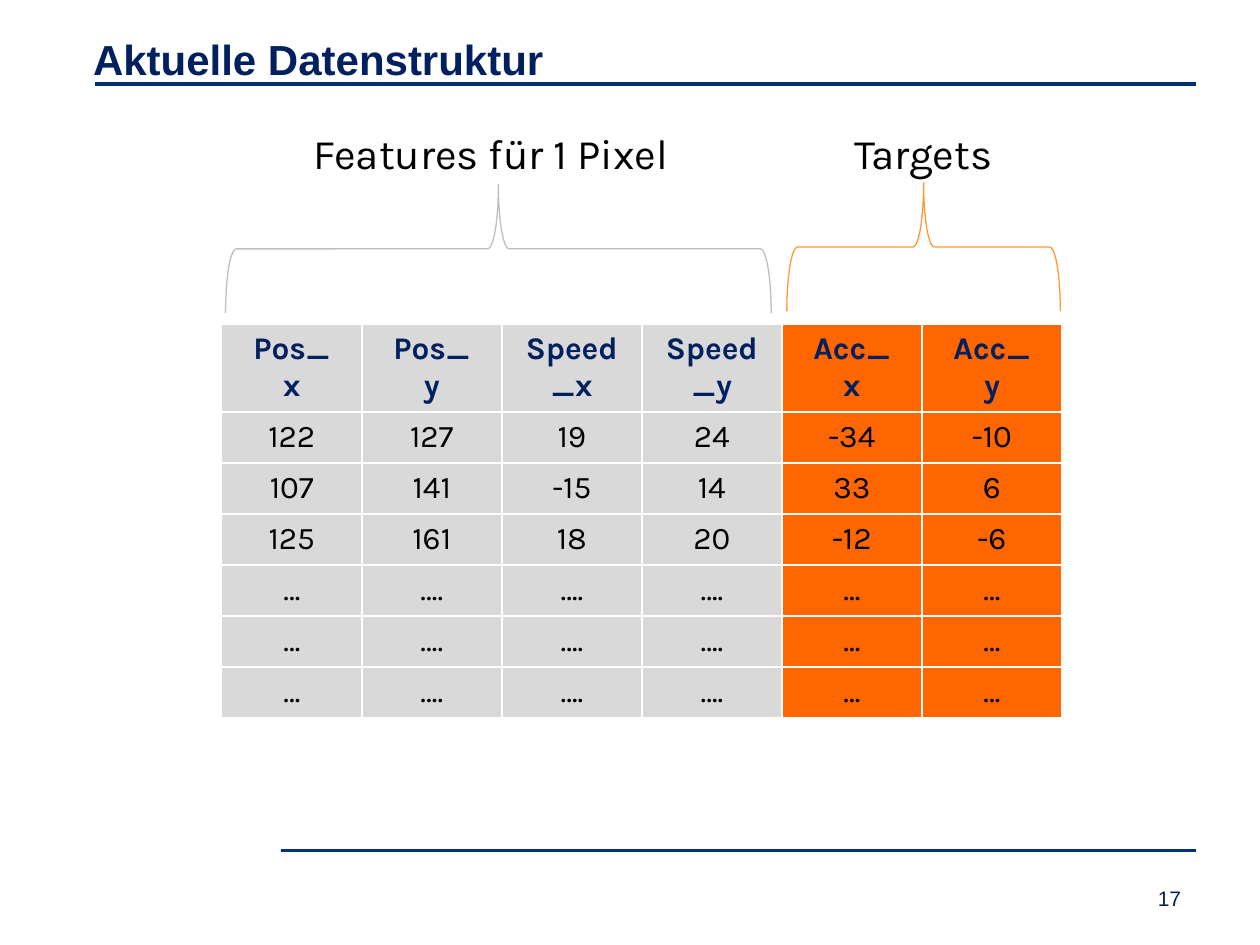
"""Slide showing the current data structure: feature and target columns of a table."""
from pptx import Presentation
from pptx.dml.color import RGBColor
from pptx.enum.shapes import MSO_CONNECTOR, MSO_SHAPE
from pptx.enum.text import PP_ALIGN
from pptx.oxml.ns import qn
from pptx.util import Inches, Pt

LINE, BRACE, CENTER = MSO_CONNECTOR.STRAIGHT, MSO_SHAPE.LEFT_BRACE, PP_ALIGN.CENTER
NAVY, BLACK, GREY, ORANGE = "002060", "000000", "D9D9D9", "FF6600"
rgb = RGBColor.from_string

prs = Presentation()
prs.slide_width, prs.slide_height = Inches(10), Inches(7.5)
U = prs.slide_width // 100
s = prs.slides.add_slide(prs.slide_layouts[6])


def style(p, text, size, font, color, bold=False):
    p.text = text
    p.font.size, p.font.name, p.font.bold = Pt(size), font, bold
    p.font.color.rgb = rgb(color)


def box(x, y, w, h, text, size, font, color, bold=False, wrap=True):
    tf = s.shapes.add_textbox(int(x * U), int(y * U), int(w * U), int(h * U)).text_frame
    tf.word_wrap = wrap
    style(tf.paragraphs[0], text, size, font, color, bold)


for x, y in [(7.5, 6.7), (22.3, 67.5)]:
    c = s.shapes.add_connector(LINE, int(x * U), int(y * U), int(94.9 * U), int(y * U))
    c.line.color.rgb, c.line.width = rgb("003173"), Pt(2.25)
    c._element.spPr.append(c._element.makeelement(qn("a:effectLst"), {}))

box(6.4, 2.2, 90, 8.6, "Aktuelle Datenstruktur", 24, "Arial", NAVY, True)
box(90.9, 69.8, 7.1, 3, "17", 12, "Arial", NAVY)

rows = [
    ["Pos_\nx", "Pos_\ny", "Speed_x", "Speed_y", "Acc_\nx", "Acc_\ny"],
    ["122", "127", "19", "24", "-34", "-10"],
    ["107", "141", "-15", "14", "33", "6"],
    ["125", "161", "18", "20", "-12", "-6"],
] + [["…", "….", "….", "….", "…", "…"]] * 3
table = s.shapes.add_table(7, 6, int(17.6 * U), int(25.7 * U),
                           int(66.7 * U), int(31.3 * U)).table
for i, row in enumerate(rows):
    table.rows[i].height = int((4.05 if i else 6.8) * U)
    for j, value in enumerate(row):
        cell = table.cell(i, j)
        cell.fill.solid()
        cell.fill.fore_color.rgb = rgb(GREY if j < 4 else ORANGE)
        cell.text = value
        for p in cell.text_frame.paragraphs:
            style(p, p.text, 18, "Karla", BLACK if i else NAVY, i == 0)
            p.alignment = CENTER

depth = 10.2
groups = [
    ("Features für 1 Pixel", 23.9, 31.2, 39.55, 19.75, 43.3, "BFBFBF"),
    ("Targets", 66.8, 13.1, 73.3, 19.6, 21.7, "FF9933"),
]
for label, x, w, cx, cy, span, color in groups:
    sp = s.shapes.add_shape(BRACE, int((cx - depth / 2) * U), int((cy - span / 2) * U),
                            int(depth * U), int(span * U))
    sp.rotation = 90
    sp.shadow.inherit = False
    sp.fill.background()
    sp.line.color.rgb, sp.line.width = rgb(color), Pt(0.75)
    box(x, 9.6, w, 5, label, 24, "Karla", BLACK, wrap=False)

prs.save("out.pptx")
